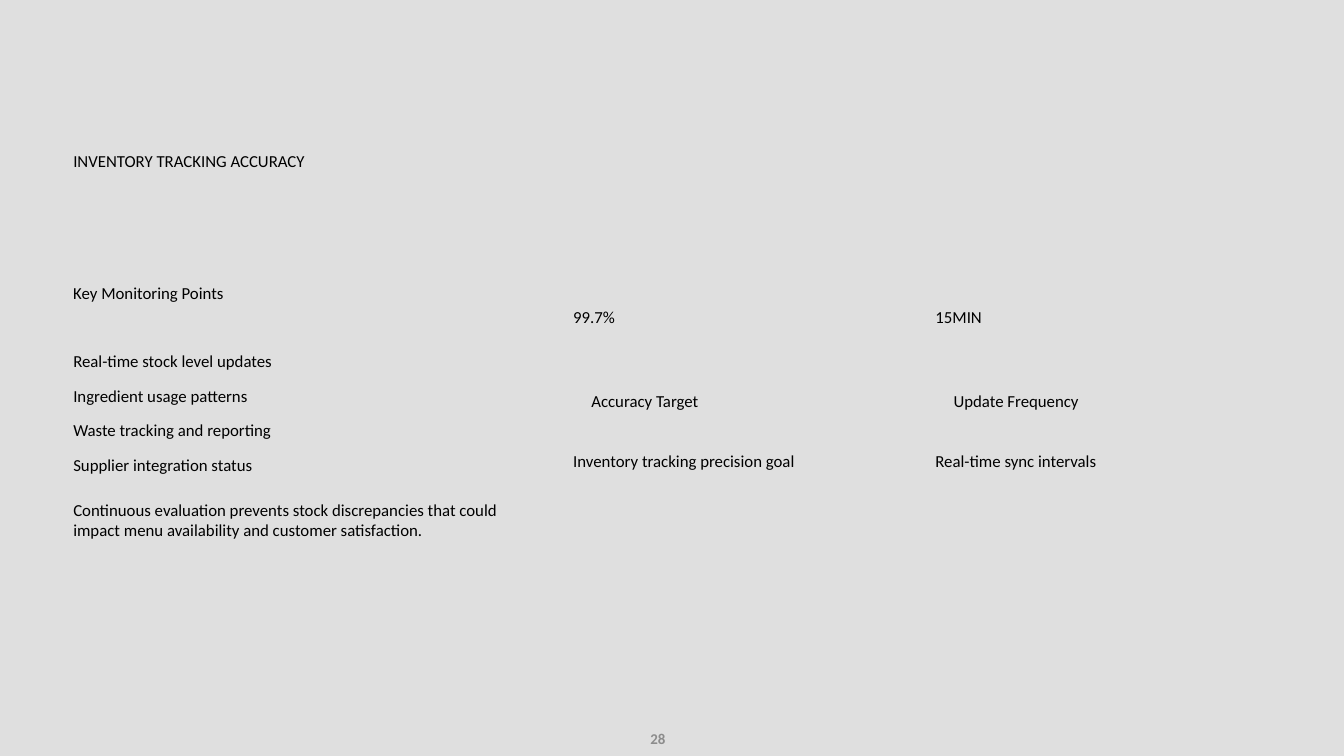
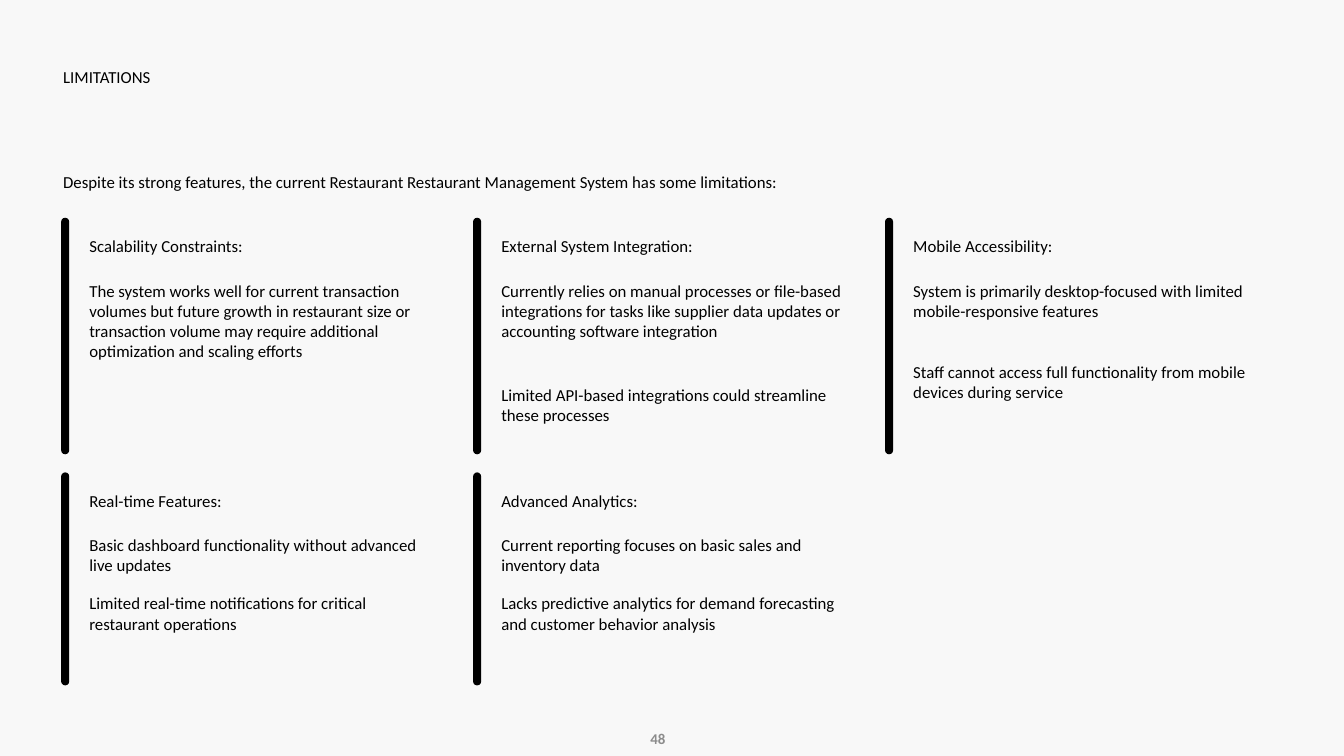
from lxml import etree
from pptx import Presentation
from pptx.dml.color import RGBColor
from pptx.enum import shapes as sh, text as tx
from pptx.oxml.ns import qn
from pptx.util import Inches, Pt

PAPER, INK, GREY = "F8F8F8", "000000", "8C8C8C"
FONT = "Calibri"
WIDTH, HEIGHT = 20, 11.25
VEIL_OPACITY = 90

POINTS = [
    "Real-time stock level updates",
    "Ingredient usage patterns",
    "Waste tracking and reporting",
    "Supplier integration status",
]
METRICS = [
    ("99.7%", "Accuracy Target", "Inventory tracking precision goal"),
    ("15MIN", "Update Frequency", "Real-time sync intervals"),
]
# Each card is a heading and its notes, a note being a text and the lines reserved for it.
LIMITATION_ROWS = [
    (3.24, 3.52, [
        ("Scalability Constraints:", [
            ("The system works well for current transaction volumes but future growth in "
             "restaurant size or transaction volume may require additional optimization "
             "and scaling efforts", 5)]),
        ("External System Integration:", [
            ("Currently relies on manual processes or file-based integrations for tasks like "
             "supplier data updates or accounting software integration", 4),
            ("Limited API-based integrations could streamline these processes", 2)]),
        ("Mobile Accessibility:", [
            ("System is primarily desktop-focused with limited mobile-responsive features", 3),
            ("Staff cannot access full functionality from mobile devices during service", 2)]),
    ]),
    (7.03, 3.17, [
        ("Real-time Features:", [
            ("Basic dashboard functionality without advanced live updates", 2),
            ("Limited real-time notifications for critical restaurant operations", 2)]),
        ("Advanced Analytics:", [
            ("Current reporting focuses on basic sales and inventory data", 2),
            ("Lacks predictive analytics for demand forecasting and customer behavior "
             "analysis", 3)]),
    ]),
]


def paint(fill, colour, opacity=100):
    """Fill with a hex colour at an opacity in percent."""
    fill.solid()
    fill.fore_color.rgb = RGBColor.from_string(colour)
    if opacity < 100:
        colour_node = fill._xPr.find(qn("a:solidFill"))[0]
        etree.SubElement(colour_node, qn("a:alpha"), val=str(opacity * 1000))


def add_panel(slide, left, top, width, height, colour, opacity=100, radius=0, border=None):
    """Add a plain or rounded rectangle."""
    kind = sh.MSO_SHAPE.ROUNDED_RECTANGLE if radius else sh.MSO_SHAPE.RECTANGLE
    panel = slide.shapes.add_shape(
        kind, Inches(left), Inches(top), Inches(width), Inches(height))
    panel.shadow.inherit = False
    paint(panel.fill, colour, opacity)
    if radius:
        panel.adjustments[0] = radius / min(width, height)
    if border:
        paint(panel.line.fill, border)
        panel.line.width = Pt(2.5)
    else:
        panel.line.fill.background()


def write(shape, words, size=18, colour=INK, bold=False, align=tx.PP_ALIGN.LEFT):
    """Put one formatted paragraph in a shape."""
    frame = shape.text_frame
    frame.text = words
    frame.word_wrap = True
    frame.paragraphs[0].alignment = align
    font = frame.paragraphs[0].runs[0].font
    font.name, font.size, font.bold = FONT, Pt(size), bold
    paint(font.fill, colour)


def fit_tight(shape):
    """Remove the insets, anchor at the top and let the box grow with its text."""
    frame = shape.text_frame
    frame.margin_left = frame.margin_right = frame.margin_top = frame.margin_bottom = 0
    frame.vertical_anchor = tx.MSO_ANCHOR.TOP
    frame.auto_size = tx.MSO_AUTO_SIZE.SHAPE_TO_FIT_TEXT


def add_words(slide, words, left, top, width, height):
    """Add a text box of body text."""
    box = slide.shapes.add_textbox(Inches(left), Inches(top), Inches(width), Inches(height))
    write(box, words)
    fit_tight(box)


def add_slide(deck, title, left, top, width, page, backdrop=None):
    """Add a veiled slide with its title and page number."""
    slide = deck.slides.add_slide(deck.slide_layouts[5])
    paint(slide.background.fill, PAPER)
    if backdrop:
        add_panel(slide, 0, 0, WIDTH, HEIGHT, backdrop)
    add_panel(slide, 0, 0, WIDTH, HEIGHT, PAPER, VEIL_OPACITY)

    heading = slide.shapes.title
    heading.left, heading.top = Inches(left), Inches(top)
    heading.width, heading.height = Inches(width), Inches(0.97)
    write(heading, title)
    fit_tight(heading)
    slide.shapes._spTree.append(heading._element)

    number = slide.shapes.add_textbox(Inches(7.67), Inches(10.79), Inches(2.33), Inches(0.4))
    write(number, page, 16, GREY, True, tx.PP_ALIGN.RIGHT)
    number.text_frame.vertical_anchor = tx.MSO_ANCHOR.MIDDLE
    return slide


def add_monitoring(slide, left, top, width):
    """Add the monitoring points with their heading and conclusion."""
    add_words(slide, "Key Monitoring Points", left, top, 5.4, 0.66)
    for index, point in enumerate(POINTS):
        add_words(slide, point, left, top + 1.02 + index * 0.513, width, 0.38)
    add_words(slide, "Continuous evaluation prevents stock discrepancies that could impact "
              "menu availability and customer satisfaction.", left, top + 3.24, width, 1.17)


def add_metric(slide, left, top, width, value, label, caption):
    """Add a value above its label and caption."""
    indent = 0.27
    add_words(slide, value, left, top, width, 0.88)
    add_words(slide, label, left + indent, top + 1.25, width - 2 * indent, 0.56)
    add_words(slide, caption, left, top + 2.15, width, 0.38)


def add_limitation(slide, left, top, width, height, heading, notes):
    """Add a card with a bar at its left edge, a heading and stacked notes."""
    add_panel(slide, left, top, width, height, PAPER, VEIL_OPACITY, 0.15, PAPER)
    add_panel(slide, left - 0.03, top, 0.12, height, INK, radius=0.06)
    text_left = left + 0.39
    add_words(slide, heading, text_left, top + 0.27, 3.86, 0.48)
    note_top = top + 0.93
    for note, lines in notes:
        note_height = lines * 0.343
        add_words(slide, note, text_left, note_top, 5.17, note_height)
        note_top += note_height + 0.18


def build_accuracy(deck):
    """Build the inventory tracking slide."""
    slide = add_slide(deck, "INVENTORY TRACKING ACCURACY", 1.09, 2.24, 11.46, "28", INK)
    add_monitoring(slide, 1.09, 4.2, 6.68)
    for index, metric in enumerate(METRICS):
        add_metric(slide, 8.53 + index * 5.39, 4.56, 5, *metric)


def build_limitations(deck):
    """Build the slide with the grid of limitations."""
    left, card_width, gap = 0.94, 5.86, 0.27
    slide = add_slide(deck, "LIMITATIONS", left, 0.99, 7.72, "48")
    add_words(slide, "Despite its strong features, the current Restaurant Restaurant "
              "Management System has some limitations:", left, 2.56, 18.12, 0.34)
    for top, height, cards in LIMITATION_ROWS:
        for column, card in enumerate(cards):
            card_left = left + column * (card_width + gap)
            add_limitation(slide, card_left, top, card_width, height, *card)


def main():
    """Build and save the deck."""
    deck = Presentation()
    deck.slide_width, deck.slide_height = Inches(WIDTH), Inches(HEIGHT)
    build_accuracy(deck)
    build_limitations(deck)
    deck.save("out.pptx")


if __name__ == "__main__":
    main()
